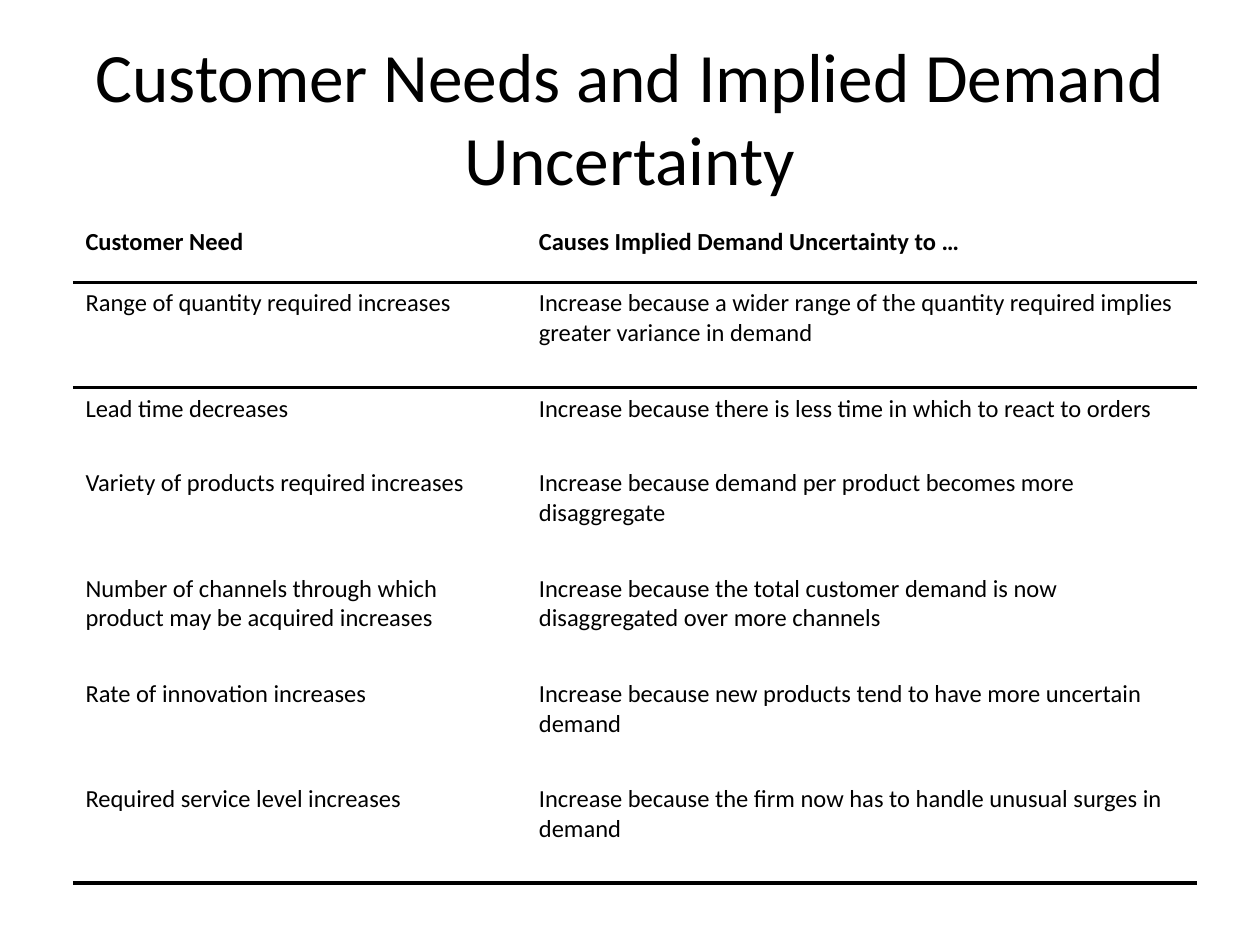
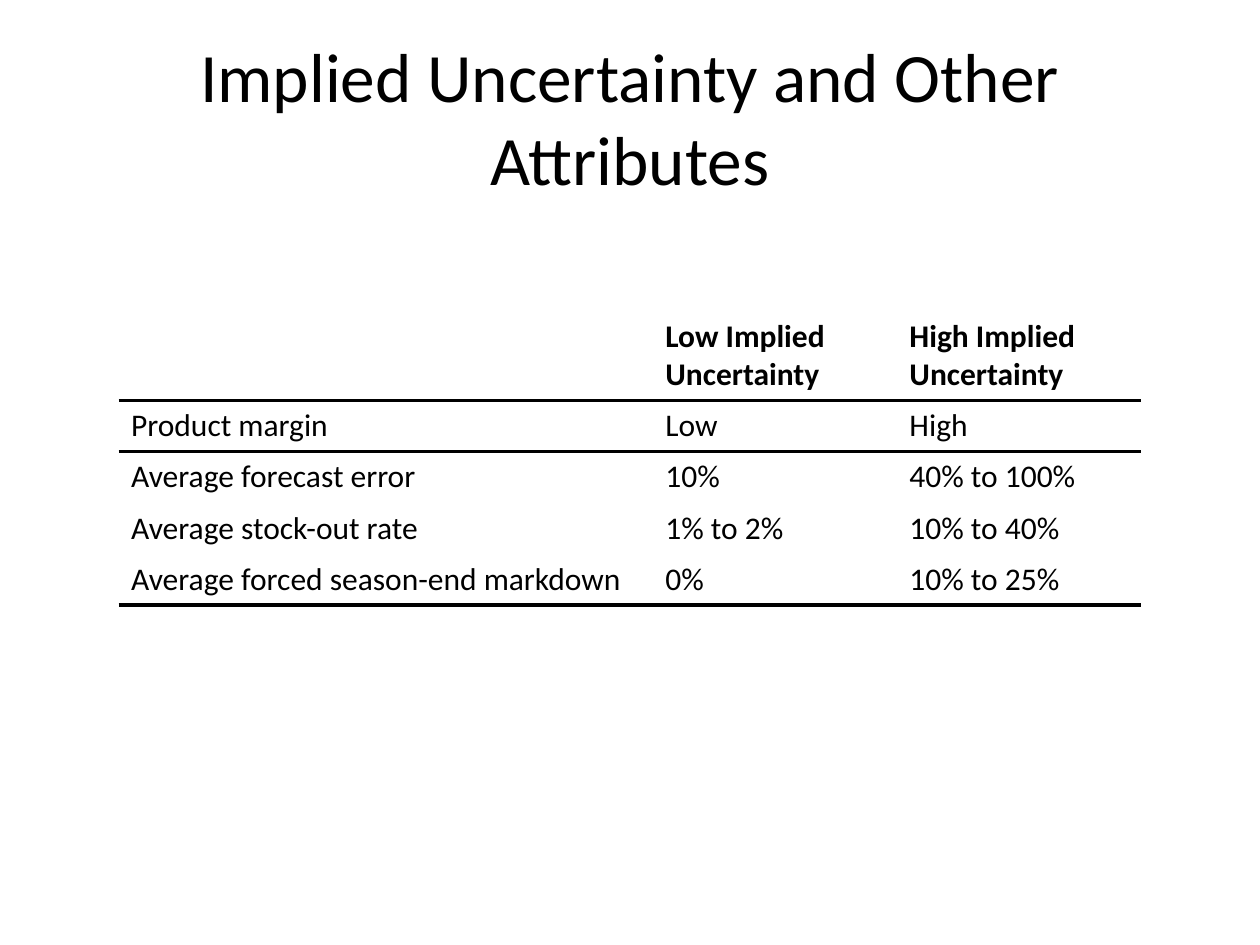
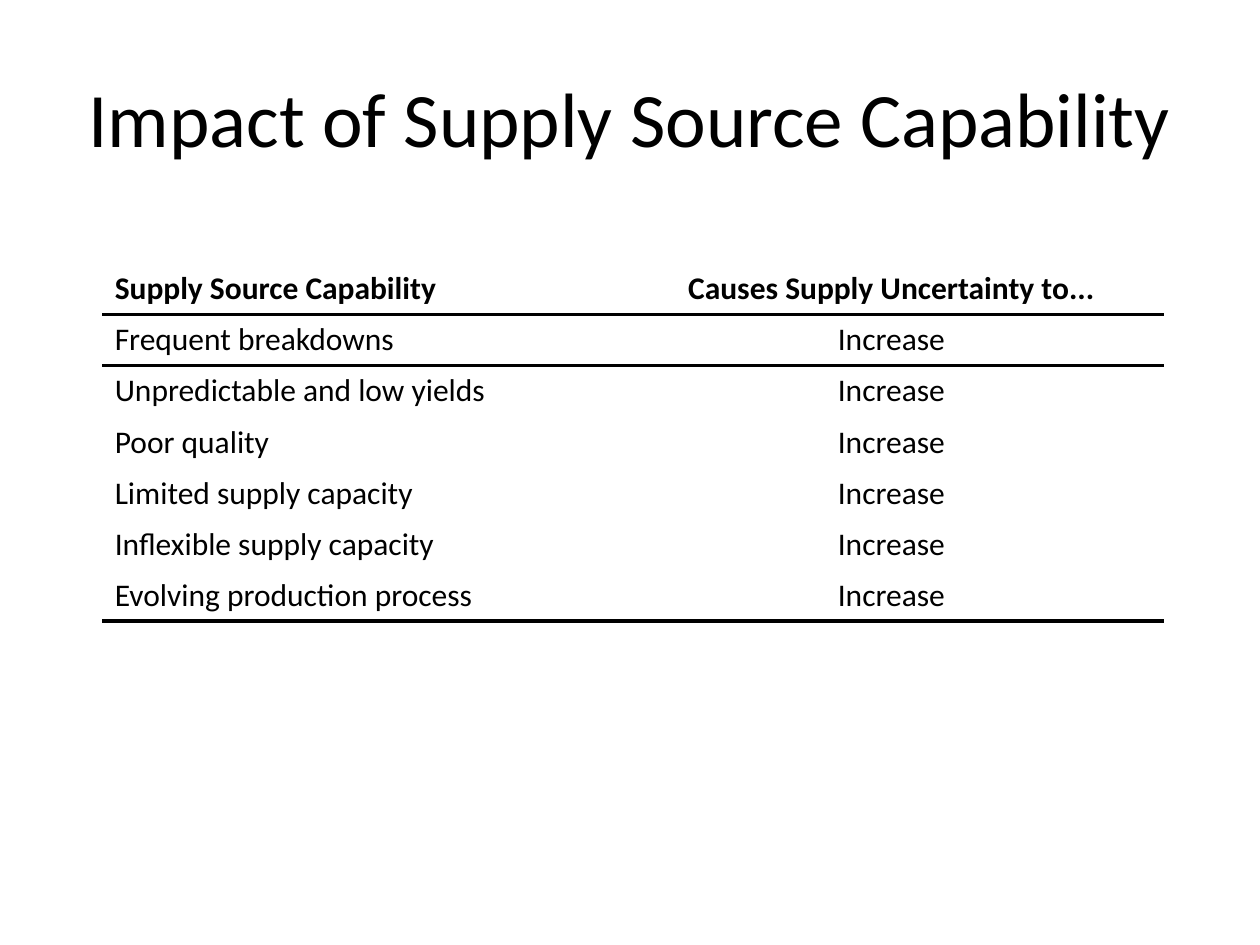
from dataclasses import dataclass

from lxml.etree import SubElement
from pptx import Presentation
from pptx.dml.color import RGBColor as RGB
from pptx.enum.text import MSO_ANCHOR as ANCHOR, MSO_AUTO_SIZE as AUTO, PP_ALIGN as ALIGN
from pptx.oxml.ns import qn
from pptx.util import Cm, Pt


@dataclass(frozen=True)
class Theme:
    font: str = "Calibri"
    ink: RGB = RGB(0, 0, 0)
    title_one_line: float = 44
    title_two_lines: float = 39.6
    body: float = 18
    body_dense: float = 14
    rule: float = 2.25
    no_grid_style: str = "{2D5ABB26-0587-4C30-8999-92F81FD0307C}"


theme = Theme()


def style_text(p, size, bold, align):
    p.alignment = align
    formats = {"name": theme.font, "size": Pt(size), "bold": bold}
    for name, value in formats.items():
        setattr(p.font, name, value)
    p.font.color.rgb = theme.ink


def add_rule(cell, side):
    # Borders must come before the fill in the cell properties
    tc_pr = cell._tc.get_or_add_tcPr()
    ln = SubElement(tc_pr, qn(f"a:ln{side}"), w=str(Pt(theme.rule)))
    tc_pr.insert(0, ln)
    fill = SubElement(ln, qn("a:solidFill"))
    SubElement(fill, qn("a:srgbClr"), val=str(theme.ink))


# Content: positions and sizes in centimetres
ROW = 1.03
slides = [
    {
        "title": "Customer Needs and Implied Demand Uncertainty",
        "title_size": theme.title_two_lines,
        "text_size": theme.body_dense,
        "left": 1.47, "top": 4.45,
        "cols": [9.14, 13.51],
        "heights": [1.24, 2.12, 1.51] + [2.12] * 4,
        "aligns": [ALIGN.LEFT] * 2,
        "rows": [
            ("Customer Need", "Causes Implied Demand Uncertainty to …"),
            ("Range of quantity required increases",
             "Increase because a wider range of the quantity required implies "
             "greater variance in demand"),
            ("Lead time decreases",
             "Increase because there is less time in which to react to orders"),
            ("Variety of products required increases",
             "Increase because demand per product becomes more disaggregate"),
            ("Number of channels through which product may be acquired increases",
             "Increase because the total customer demand is now "
             "disaggregated over more channels"),
            ("Rate of innovation increases",
             "Increase because new products tend to have more uncertain demand"),
            ("Required service level increases",
             "Increase because the firm now has to handle unusual surges in demand"),
        ],
    },
    {
        "title": "Implied Uncertainty and Other Attributes",
        "title_size": theme.title_two_lines,
        "text_size": theme.body,
        "left": 2.39, "top": 6.27,
        "cols": [10.77, 4.92, 4.92],
        "heights": [1.8] + [ROW] * 4,
        "aligns": [ALIGN.LEFT] * 3,
        "rows": [
            ("", "Low Implied Uncertainty", "High Implied Uncertainty"),
            ("Product margin", "Low", "High"),
            ("Average forecast error", "10%", "40% to 100%"),
            ("Average stock-out rate", "1% to 2%", "10% to 40%"),
            ("Average forced season-end markdown", "0%", "10% to 25%"),
        ],
    },
    {
        "title": "Impact of Supply Source Capability",
        "title_size": theme.title_one_line,
        "text_size": theme.body,
        "left": 2.06, "top": 5.31,
        "cols": [10.41, 11],
        "heights": [ROW] * 7,
        "aligns": [ALIGN.LEFT, ALIGN.CENTER],
        "rows": [("Supply Source Capability", "Causes Supply Uncertainty to...")] + [
            (capability, "Increase") for capability in (
                "Frequent breakdowns", "Unpredictable and low yields",
                "Poor quality", "Limited supply capacity",
                "Inflexible supply capacity", "Evolving production process")
        ],
    },
]

prs = Presentation()
prs.slide_width, prs.slide_height = Cm(25.4), Cm(19.05)
title_only = prs.slide_layouts[5]

for content in slides:
    s = prs.slides.add_slide(title_only)

    # Title
    sp = s.shapes.title
    box = {"left": 1.27, "top": 0.76, "width": 22.86, "height": 3.18}
    for name, value in box.items():
        setattr(sp, name, Cm(value))
    tf = sp.text_frame
    frame = {"text": content["title"], "word_wrap": True,
             "auto_size": AUTO.NONE, "vertical_anchor": ANCHOR.MIDDLE}
    for name, value in frame.items():
        setattr(tf, name, value)
    style_text(tf.paragraphs[0], content["title_size"], False, ALIGN.CENTER)

    # Table grid
    rows, cols, heights = content["rows"], content["cols"], content["heights"]
    table = s.shapes.add_table(
        len(rows), len(cols), Cm(content["left"]), Cm(content["top"]),
        Cm(sum(cols)), Cm(sum(heights))).table
    table.horz_banding = False
    table._tbl.tblPr.find(qn("a:tableStyleId")).text = theme.no_grid_style
    for col, width in zip(table.columns, cols):
        col.width = Cm(width)
    for row, height in zip(table.rows, heights):
        row.height = Cm(height)

    # Cells, with rules below the header and below the last row
    rules = {0: "B", 1: "T", len(rows) - 1: "B"}
    for i, texts in enumerate(rows):
        for j, text in enumerate(texts):
            cell = table.cell(i, j)
            cell.text = text
            cell.fill.background()
            style_text(cell.text_frame.paragraphs[0], content["text_size"],
                       i == 0, content["aligns"][j])
            if i in rules:
                add_rule(cell, rules[i])

prs.save("out.pptx")
